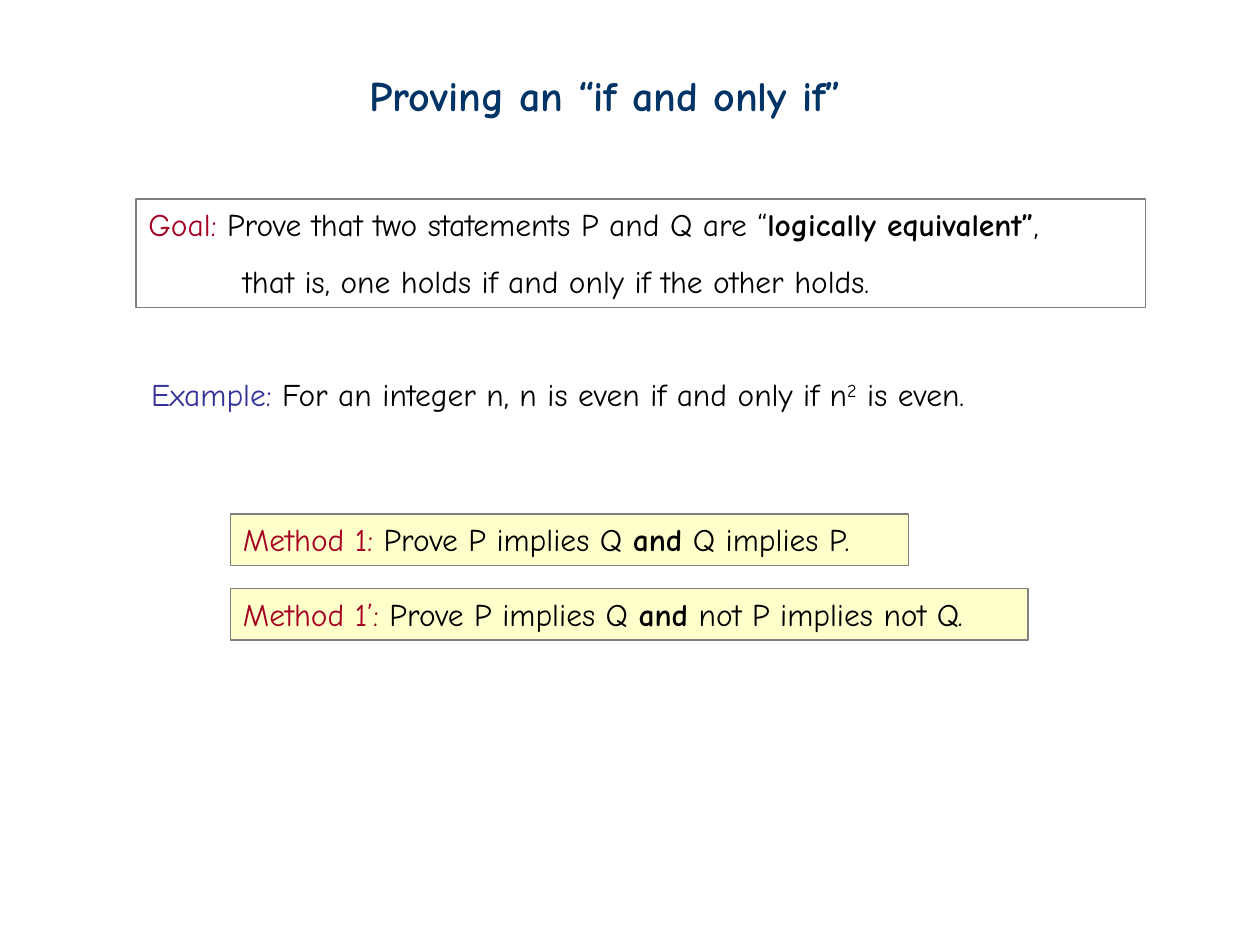
from pptx import Presentation
from pptx.dml.color import RGBColor
from pptx.enum import shapes, text
from pptx.util import Inches, Pt

NAVY = RGBColor(0x00, 0x33, 0x66)
RED = RGBColor(0xA5, 0x00, 0x21)
BLUE = RGBColor(0x33, 0x33, 0x99)
BLACK = RGBColor(0x00, 0x00, 0x00)
GRAY = RGBColor(0x80, 0x80, 0x80)
CREAM = RGBColor(0xFF, 0xFF, 0xCC)


class SlideBuilder:
    """Holds the text style and the slide being filled."""

    font = "Comic Neue"
    title_size = 24
    body_size = 18

    def __init__(self, deck):
        self.slide = deck.slides.add_slide(deck.slide_layouts[5])

    def prepare(self, frame):
        frame.word_wrap = True
        frame.auto_size = text.MSO_AUTO_SIZE.NONE
        frame.vertical_anchor = text.MSO_ANCHOR.TOP

    def fill_para(self, para, spans, size):
        """Fill a paragraph with (words, colour, style) spans."""
        para.alignment = text.PP_ALIGN.LEFT
        para.font.name = self.font
        para.font.size = Pt(size)
        for words, color, style in spans:
            span = para.add_run()
            span.text = words
            span.font.color.rgb = color
            span.font.bold = style == "bold"
            if style == "super":
                span.font._element.set("baseline", "30000")

    def title(self, words, left, top, width, height):
        title = self.slide.shapes.title
        title.left, title.top = Inches(left), Inches(top)
        title.width, title.height = Inches(width), Inches(height)
        self.prepare(title.text_frame)
        self.fill_para(title.text_frame.paragraphs[0], [(words, NAVY, "bold")], self.title_size)

    def label(self, spans, left, top, width, height):
        box = self.slide.shapes.add_textbox(
            Inches(left), Inches(top), Inches(width), Inches(height))
        self.prepare(box.text_frame)
        self.fill_para(box.text_frame.paragraphs[0], spans, self.body_size)

    def panel(self, spans, left, top, width, height, fill=None):
        """Draw a thin gray frame with text and return its text frame."""
        box = self.slide.shapes.add_shape(
            shapes.MSO_SHAPE.RECTANGLE,
            Inches(left), Inches(top), Inches(width), Inches(height))
        box.shadow.inherit = False
        box.line.color.rgb = GRAY
        box.line.width = Pt(0.75)
        if fill is None:
            box.fill.background()
        else:
            box.fill.solid()
            box.fill.fore_color.rgb = fill
        self.prepare(box.text_frame)
        self.fill_para(box.text_frame.paragraphs[0], spans, self.body_size)
        return box.text_frame

    def indented_line(self, frame, spans, indent):
        para = frame.add_paragraph()
        self.fill_para(para, spans, self.body_size)
        para.line_spacing = 1.5
        para._p.get_or_add_pPr().set("marL", str(Inches(indent)))


def main():
    deck = Presentation()
    deck.slide_width, deck.slide_height = Inches(10), Inches(7.5)
    page = SlideBuilder(deck)

    page.title("Proving an “if and only if”", 2.83, 0.5, 4.4, 0.5)

    # Goal
    goal = page.panel([
        ("Goal:", RED, None),
        (" Prove that two statements P and Q are “", BLACK, None),
        ("logically equivalent”", BLACK, "bold"),
        (",", BLACK, None),
    ], 1.08, 1.58, 8.01, 0.86)
    page.indented_line(
        goal, [("that is, one holds if and only if the other holds.", BLACK, None)], 0.75)

    # Example
    page.label([
        ("Example:", BLUE, None),
        (" For an integer n, n is even if and only if n", BLACK, None),
        ("2", BLACK, "super"),
        (" is even.", BLACK, None),
    ], 1.1, 2.93, 7.11, 0.4)

    # Proof methods
    methods = [
        ("Method 1:", " Q implies P.", 4.08, 5.38),
        ("Method 1’:", " not P implies not Q.", 4.67, 6.33),
    ]
    for name, second_half, top, width in methods:
        page.panel([
            (name, RED, None),
            (" Prove P implies Q ", BLACK, None),
            ("and", BLACK, "bold"),
            (second_half, BLACK, None),
        ], 1.83, top, width, 0.41, CREAM)

    deck.save("out.pptx")


if __name__ == "__main__":
    main()
